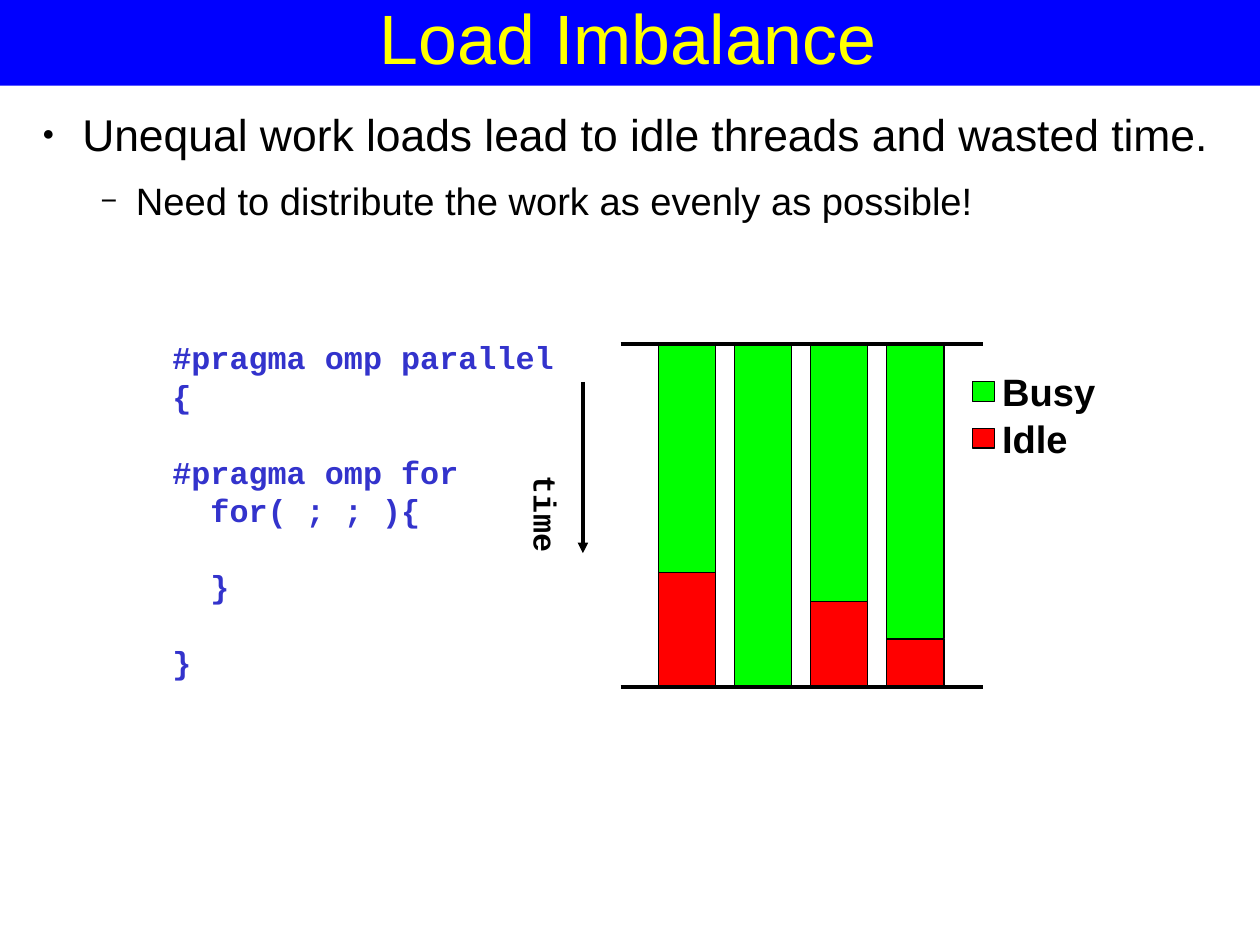
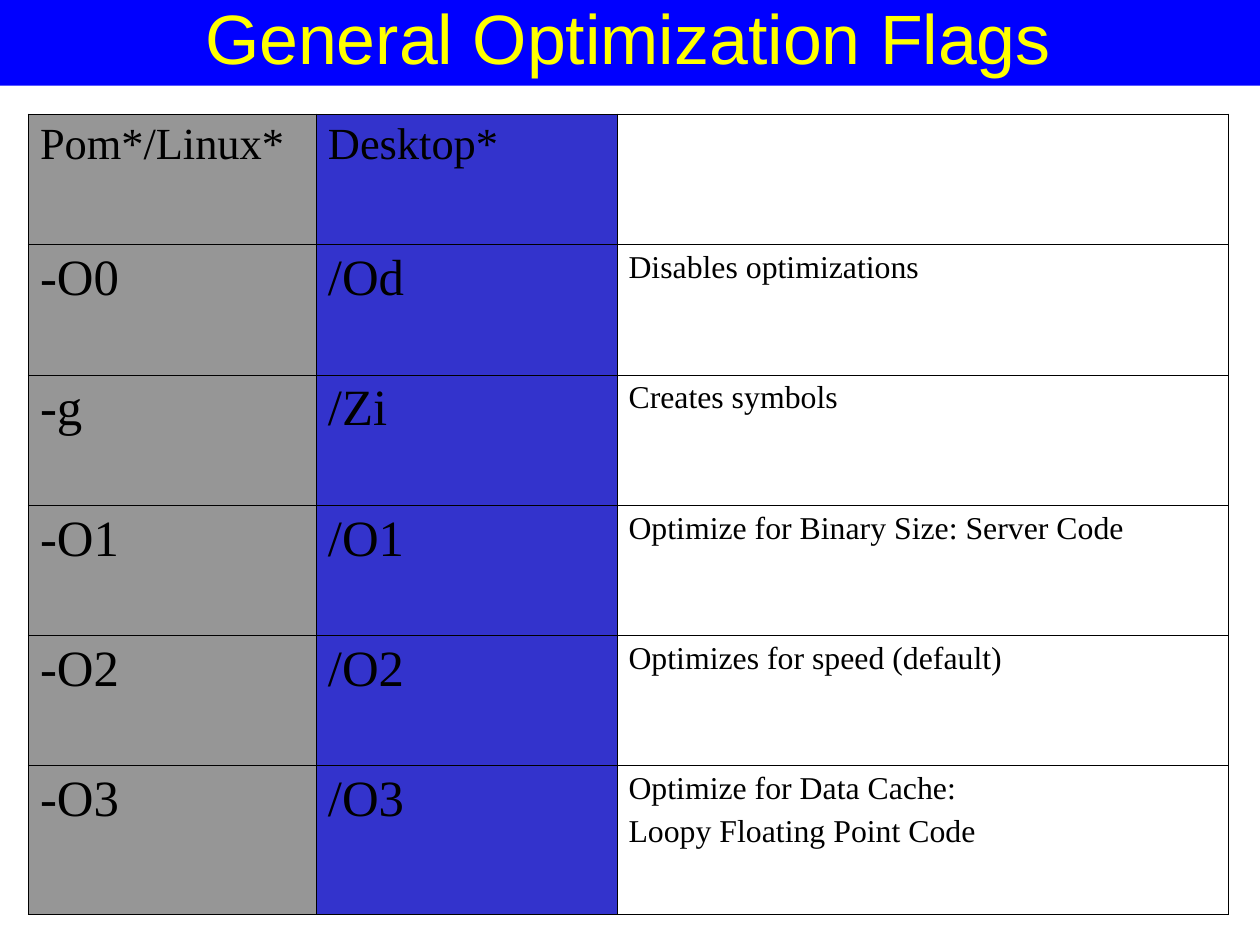
from dataclasses import dataclass
from typing import NamedTuple

from lxml.etree import SubElement
from pptx import Presentation
from pptx.dml.color import RGBColor
from pptx.enum.shapes import MSO_CONNECTOR, MSO_SHAPE
from pptx.enum.text import MSO_ANCHOR, PP_ALIGN
from pptx.oxml.ns import qn
from pptx.util import Emu, Inches, Length, Pt


@dataclass(frozen=True)
class Theme:
    band: RGBColor = RGBColor(0x00, 0x00, 0xFF)
    title: RGBColor = RGBColor(0xFF, 0xFF, 0x00)
    ink: RGBColor = RGBColor(0x00, 0x00, 0x00)
    paper: RGBColor = RGBColor(0xFF, 0xFF, 0xFF)
    accent: RGBColor = RGBColor(0x33, 0x33, 0xCC)
    gray: RGBColor = RGBColor(0x96, 0x96, 0x96)
    busy: RGBColor = RGBColor(0x00, 0xFF, 0x00)
    idle: RGBColor = RGBColor(0xFF, 0x00, 0x00)
    sans: str = "Arial"
    mono: str = "Courier New"
    serif: str = "Times New Roman"
    title_size: int = 44
    flag_size: int = 32
    large_size: int = 28
    medium_size: int = 24
    small_size: int = 20
    tight: float = 0.87


THEME = Theme()
# The 28 by 21 cm screen format, in its exact EMU size.
SLIDE_WIDTH, SLIDE_HEIGHT = Emu(10080625), Emu(7559675)
BAND_HEIGHT = Inches(0.75)
CONTENT_BOX = (Inches(0.25), Inches(1), Inches(10.5), Inches(7))


class Bullet(NamedTuple):
    char: str
    percent: int
    margin: float
    hanging: float


class Point(NamedTuple):
    text: str
    size: int
    space_after: float
    bullet: Bullet


class CodeLine(NamedTuple):
    text: str
    blank_before: bool = False


class LegendEntry(NamedTuple):
    label: str
    color: RGBColor


class FlagRow(NamedTuple):
    unix: str
    desktop: str
    effect: tuple[str, ...] = ()


POINTS = (
    Point("Unequal work loads lead to idle threads and wasted time.",
          THEME.large_size, 14.3, Bullet("●", 45, 0.47, 0.35)),
    Point("Need to distribute the work as evenly as possible!",
          THEME.medium_size, 11.4, Bullet("−", 75, 0.94, 0.31)),
)
CODE = (
    CodeLine("#pragma omp parallel"),
    CodeLine("{"),
    CodeLine("#pragma omp for", blank_before=True),
    CodeLine("  for( ; ; ){"),
    CodeLine("  }", blank_before=True),
    CodeLine("}", blank_before=True),
)
CODE_PITCH = 24
TOTAL_TIME = 3.0
BUSY_TIMES = (2.0, 3.0, 2.25, 2.58)
LEGEND = (LegendEntry("Busy", THEME.busy), LegendEntry("Idle", THEME.idle))
FLAGS = (
    FlagRow("Pom*/Linux*", "Desktop*"),
    FlagRow("-O0", "/Od", ("Disables optimizations",)),
    FlagRow("-g", "/Zi", ("Creates symbols",)),
    FlagRow("-O1", "/O1", ("Optimize for Binary Size: Server Code",)),
    FlagRow("-O2", "/O2", ("Optimizes for speed (default)",)),
    FlagRow("-O3", "/O3", ("Optimize for Data Cache:", "Loopy Floating Point Code")),
)
COLUMN_WIDTHS = (2.52, 2.63, 5.35)
ROW_HEIGHTS = (1.14,) * 5 + (1.3,)


def set_bullet(paragraph, bullet: Bullet) -> None:
    properties = paragraph._p.get_or_add_pPr()
    properties.set("marL", str(Inches(bullet.margin)))
    properties.set("indent", str(-Inches(bullet.hanging)))
    SubElement(properties, qn("a:buSzPct"), val=str(bullet.percent * 1000))
    SubElement(properties, qn("a:buFont"), typeface=THEME.sans)
    SubElement(properties, qn("a:buChar"), char=bullet.char)


def write(frame, text: str, *, size: float, font: str = THEME.sans,
          color: RGBColor = THEME.ink, bold: bool = False,
          align: PP_ALIGN = PP_ALIGN.LEFT, line_spacing: float | Length | None = None,
          space_before: float = 0, space_after: float = 0,
          bullet: Bullet | None = None) -> None:
    """Add one paragraph, using the frame's first one while it is empty."""
    paragraph = frame.add_paragraph() if frame.text else frame.paragraphs[0]
    if bullet:
        set_bullet(paragraph, bullet)
    paragraph.alignment = align
    paragraph.line_spacing = line_spacing
    paragraph.space_before = Pt(space_before)
    paragraph.space_after = Pt(space_after)
    run = paragraph.add_run()
    run.text = text
    run.font.size = Pt(size)
    run.font.name = font
    run.font.bold = bold
    run.font.color.rgb = color


def add_frame(slide, left: Length, top: Length, width: Length, height: Length, *,
              inset: bool = True, wrap: bool = False,
              anchor: MSO_ANCHOR = MSO_ANCHOR.TOP, rotation: float = 0):
    """Add a text box and return its text frame."""
    box = slide.shapes.add_textbox(left, top, width, height)
    box.rotation = rotation
    frame = box.text_frame
    frame.word_wrap = wrap
    frame.vertical_anchor = anchor
    frame.margin_left = frame.margin_right = Inches(0.1 if inset else 0)
    frame.margin_top = frame.margin_bottom = Inches(0.05 if inset else 0)
    return frame


def add_block(slide, left: Length, top: Length, width: Length, height: Length,
              color: RGBColor, outlined: bool = True) -> None:
    block = slide.shapes.add_shape(MSO_SHAPE.RECTANGLE, left, top, width, height)
    block.shadow.inherit = False
    block.fill.solid()
    block.fill.fore_color.rgb = color
    if outlined:
        block.line.color.rgb = THEME.ink
        block.line.width = Pt(0.75)
    else:
        block.line.fill.background()


def add_line(slide, x1: Length, y1: Length, x2: Length, y2: Length,
             arrow: bool = False) -> None:
    line = slide.shapes.add_connector(MSO_CONNECTOR.STRAIGHT, x1, y1, x2, y2)
    line.line.color.rgb = THEME.ink
    line.line.width = Pt(2.25)
    properties = line._element.spPr
    if arrow:
        SubElement(properties.find(qn("a:ln")), qn("a:tailEnd"), type="triangle")
    SubElement(properties, qn("a:effectLst"))


def add_titled_slide(deck, title: str):
    slide = deck.slides.add_slide(deck.slide_layouts[6])
    add_block(slide, Inches(0), Inches(0), SLIDE_WIDTH, BAND_HEIGHT, THEME.band,
              outlined=False)
    frame = add_frame(slide, Inches(0), Inches(0), Inches(11), BAND_HEIGHT, inset=False,
                      wrap=True, anchor=MSO_ANCHOR.MIDDLE)
    write(frame, title, size=THEME.title_size, color=THEME.title,
          align=PP_ALIGN.CENTER, line_spacing=THEME.tight)
    return slide


def add_thread_bars(slide) -> None:
    top, bottom = Inches(3.01), Inches(3.01 + TOTAL_TIME)
    width = Inches(0.5)
    pitch = Inches(2 / 3)
    for index, busy in enumerate(BUSY_TIMES):
        left = Inches(5.76) + index * pitch
        busy_end = top + Inches(busy)
        add_block(slide, left, top, width, Inches(busy), THEME.busy)
        if busy < TOTAL_TIME:
            add_block(slide, left, busy_end, width, bottom - busy_end, THEME.idle)
    for limit in (top, bottom):
        add_line(slide, Inches(5.43), limit, Inches(8.6), limit)


def add_legend(slide) -> None:
    swatch_height, label_height = Inches(0.17), Inches(0.5)
    for index, entry in enumerate(LEGEND):
        top = Inches(3.34 + index * 0.41)
        add_block(slide, Inches(8.51), top, Inches(0.19), swatch_height, entry.color)
        label = add_frame(slide, Inches(8.67), top + (swatch_height - label_height) // 2,
                          Inches(1.1), label_height, anchor=MSO_ANCHOR.MIDDLE)
        write(label, entry.label, size=THEME.medium_size, bold=True)


def build_load_imbalance(deck) -> None:
    slide = add_titled_slide(deck, "Load Imbalance")
    points = add_frame(slide, *CONTENT_BOX, inset=False, wrap=True)
    for point in POINTS:
        write(points, point.text, size=point.size, line_spacing=THEME.tight,
              space_after=point.space_after, bullet=point.bullet)

    code = add_frame(slide, Inches(1.41), Inches(2.91), Inches(3.54), Inches(3.1))
    for line in CODE:
        write(code, line.text, size=THEME.small_size, font=THEME.mono,
              color=THEME.accent, bold=True, line_spacing=Pt(CODE_PITCH),
              space_before=CODE_PITCH if line.blank_before else 0)

    add_thread_bars(slide)
    add_legend(slide)
    add_line(slide, Inches(5.1), Inches(3.34), Inches(5.1), Inches(4.84), arrow=True)
    time_label = add_frame(slide, Inches(4.34), Inches(4.28), Inches(0.87), Inches(0.44),
                           rotation=90)
    write(time_label, "time", size=THEME.small_size, font=THEME.mono, bold=True)


def set_border(cell, side: str, width: float) -> None:
    """Draw one cell edge; side is L, R, T or B."""
    edge = SubElement(cell._tc.get_or_add_tcPr(), qn(f"a:ln{side}"), w=str(Pt(width)))
    fill = SubElement(edge, qn("a:solidFill"))
    SubElement(fill, qn("a:srgbClr"), val=str(THEME.ink))


def build_optimization_flags(deck) -> None:
    slide = add_titled_slide(deck, "General Optimization Flags")
    table = slide.shapes.add_table(len(FLAGS), len(COLUMN_WIDTHS), *CONTENT_BOX).table
    table.first_row = table.horz_banding = False
    for column, width in zip(table.columns, COLUMN_WIDTHS):
        column.width = Inches(width)
    for row, height in zip(table.rows, ROW_HEIGHTS):
        row.height = Inches(height)

    last_row, last_column = len(FLAGS) - 1, len(COLUMN_WIDTHS) - 1
    fills = (THEME.gray, THEME.accent, THEME.paper)
    for r, flag in enumerate(FLAGS):
        flag_size = THEME.flag_size if r else THEME.large_size
        sizes = (flag_size, flag_size, THEME.small_size)
        contents = ((flag.unix,), (flag.desktop,), flag.effect)
        for c, (lines, size, fill) in enumerate(zip(contents, sizes, fills)):
            cell = table.cell(r, c)
            outer = {"L": c == 0, "R": c == last_column, "T": r == 0, "B": r == last_row}
            for side, is_outer in outer.items():
                set_border(cell, side, 1.08 if is_outer else 0.45)
            cell.fill.solid()
            cell.fill.fore_color.rgb = fill
            for index, line in enumerate(lines):
                write(cell.text_frame, line, size=size, font=THEME.serif,
                      space_before=5 if index else 0)


def main() -> None:
    deck = Presentation()
    deck.slide_width, deck.slide_height = SLIDE_WIDTH, SLIDE_HEIGHT
    build_load_imbalance(deck)
    build_optimization_flags(deck)
    deck.save("out.pptx")


if __name__ == "__main__":
    main()
